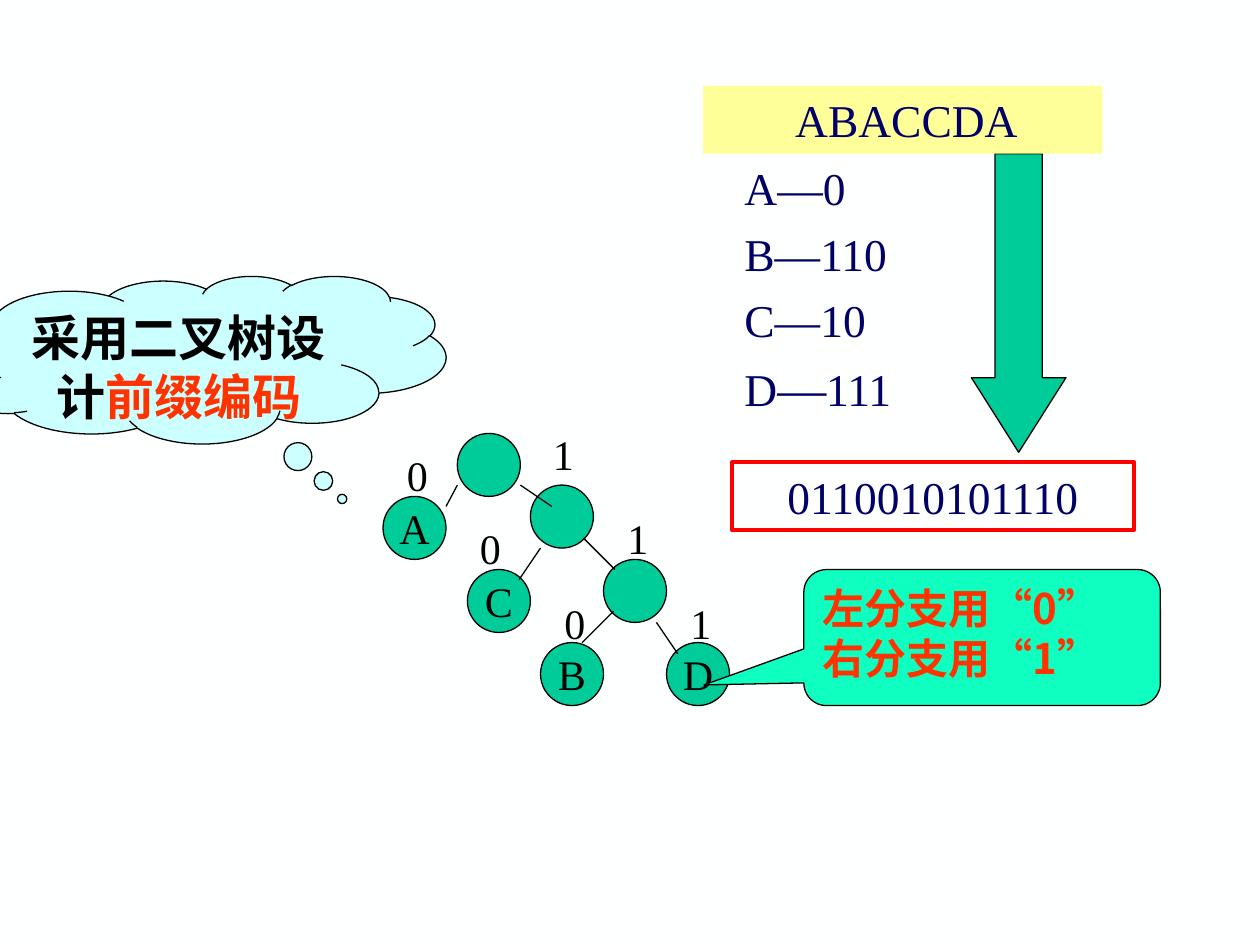
from lxml import etree
from pptx import Presentation
from pptx.dml.color import RGBColor
from pptx.enum.shapes import MSO_CONNECTOR, MSO_SHAPE
from pptx.enum.text import MSO_ANCHOR, PP_ALIGN
from pptx.oxml.ns import qn
from pptx.util import Inches, Pt

CENTER, LEFT = PP_ALIGN.CENTER, PP_ALIGN.LEFT
TOP, MIDDLE = MSO_ANCHOR.TOP, MSO_ANCHOR.MIDDLE
ELLIPSE, RECTANGLE = MSO_SHAPE.OVAL, MSO_SHAPE.RECTANGLE

BACKGROUND = RGBColor(0xFE, 0xFF, 0xFF)
BLACK = RGBColor(0x00, 0x00, 0x00)
GREEN = RGBColor(0x00, 0xCC, 0x99)
MINT = RGBColor(0x0F, 0xFF, 0xC0)
PALE_BLUE = RGBColor(0xCC, 0xFF, 0xFF)
YELLOW = RGBColor(0xFF, 0xFF, 0x99)
RED = RGBColor(0xFF, 0x00, 0x00)
ORANGE = RGBColor(0xFF, 0x33, 0x00)
NAVY = RGBColor(0x00, 0x00, 0x66)

SERIF, SANS = "Times New Roman", "Noto Sans CJK SC"

NODE_SIZE = 0.5
NODES = [  # label, left, top
    ("", 3.63, 3.44), ("", 4.21, 3.85), ("", 4.79, 4.44),
    ("A", 3.04, 3.94), ("C", 3.71, 4.52), ("B", 4.29, 5.1), ("D", 5.29, 5.1),
]
BRANCHES = [  # start x, start y, end x, end y
    (3.63, 3.85, 3.54, 4.02), (4.13, 3.85, 4.38, 4.02),
    (4.29, 4.35, 4.12, 4.6), (4.87, 4.85, 4.62, 5.1),
    (5.21, 4.94, 5.38, 5.19), (4.63, 4.27, 4.88, 4.52),
]
BITS = [  # bit, left, top
    ("0", 3.13, 3.52), ("0", 3.71, 4.1), ("0", 4.38, 4.69),
    ("1", 4.29, 3.35), ("1", 4.88, 4.02), ("1", 5.38, 4.69),
]

# A paragraph is a list of runs: text, size, font, colour, bold
CLOUD_TEXT = [[("采用二叉树设计", 28, SERIF, BLACK, True),
               ("前缀编码", 28, SERIF, ORANGE, True)]]
RULES = [[(text, 24, SANS, ORANGE, True)] for text in ("左分支用“0”", "右分支用“1”")]
CODES = [[(text, 26, SERIF, NAVY, False)] for text in ("A—0", "B—110", "C—10")]
CODES.append([(text, size, SERIF, NAVY, False)
              for text, size in (("D", 26), ("—", 28), ("111", 26))])
MESSAGE = [[("ABACCDA", 26, SERIF, NAVY, False)]]
ENCODED = [[("0110010101110", 26, SERIF, NAVY, False)]]


def write(shape, paragraphs, align=LEFT, anchor=TOP, wrap=True, gap=0):
    frame = shape.text_frame
    frame.word_wrap = wrap
    frame.vertical_anchor = anchor
    for index, runs in enumerate(paragraphs):
        paragraph = frame.add_paragraph() if index else frame.paragraphs[0]
        paragraph.alignment = align
        if index and gap:
            paragraph.space_before = Pt(gap)
        for text, size, font, color, bold in runs:
            run = paragraph.add_run()
            run.text = text
            run.font.size = Pt(size)
            run.font.name = font
            run.font.bold = bold
            run.font.color.rgb = color
            if font == SANS:
                east_asian = etree.SubElement(run.font._element, qn("a:ea"))
                east_asian.set("typeface", font)


def add_shape(kind, box, fill=None, line=BLACK, width=0.75, adjustments=()):
    shape = slide.shapes.add_shape(kind, *map(Inches, box))
    shape.shadow.inherit = False
    if fill is None:
        shape.fill.background()
    else:
        shape.fill.solid()
        shape.fill.fore_color.rgb = fill
    if line is None:
        shape.line.fill.background()
    else:
        shape.line.color.rgb = line
        shape.line.width = Pt(width)
    for index, value in enumerate(adjustments):
        shape.adjustments[index] = value
    return shape


def add_branch(points):
    line = slide.shapes.add_connector(MSO_CONNECTOR.STRAIGHT, *map(Inches, points))
    line.line.color.rgb = BLACK
    line.line.width = Pt(0.75)
    etree.SubElement(line._element.spPr, qn("a:effectLst"))


def add_text(box, paragraphs, gap=0):
    write(slide.shapes.add_textbox(*map(Inches, box)), paragraphs, gap=gap)


presentation = Presentation()
presentation.slide_width, presentation.slide_height = Inches(10), Inches(7.5)
slide = presentation.slides.add_slide(presentation.slide_layouts[6])
slide.background.fill.solid()
slide.background.fill.fore_color.rgb = BACKGROUND

for label, left, top in NODES:
    node = add_shape(ELLIPSE, (left, top, NODE_SIZE, NODE_SIZE), GREEN)
    if label:
        write(node, [[(label, 24, SERIF, BLACK, False)]], CENTER, MIDDLE, wrap=False)
for branch in BRANCHES:
    add_branch(branch)
for bit, left, top in BITS:
    add_text((left, top, 0.58, 0.5), [[(bit, 24, SERIF, BLACK, False)]])

cloud = add_shape(MSO_SHAPE.CLOUD_CALLOUT, (-0.42, 2.19, 3.96, 1.33), PALE_BLUE,
                  adjustments=(0.292, 0.831))
write(cloud, CLOUD_TEXT, CENTER)
callout = add_shape(MSO_SHAPE.ROUNDED_RECTANGULAR_CALLOUT, (6.38, 4.52, 2.83, 1.08), MINT,
                    adjustments=(-0.78, 0.348, 0.167))
write(callout, RULES)

add_text((5.81, 1.22, 1.52, 3.87), CODES, gap=6.5)
add_shape(MSO_SHAPE.DOWN_ARROW, (7.71, 1.22, 0.75, 2.37), GREEN, adjustments=(0.5, 0.789))
encoded = add_shape(RECTANGLE, (5.81, 3.67, 3.19, 0.54), line=RED, width=2.25)
write(encoded, ENCODED, CENTER)
message = add_shape(RECTANGLE, (5.58, 0.68, 3.17, 0.54), YELLOW, line=None)
write(message, MESSAGE, CENTER)
message.text_frame.margin_left = Inches(0.16)

presentation.save("out.pptx")
